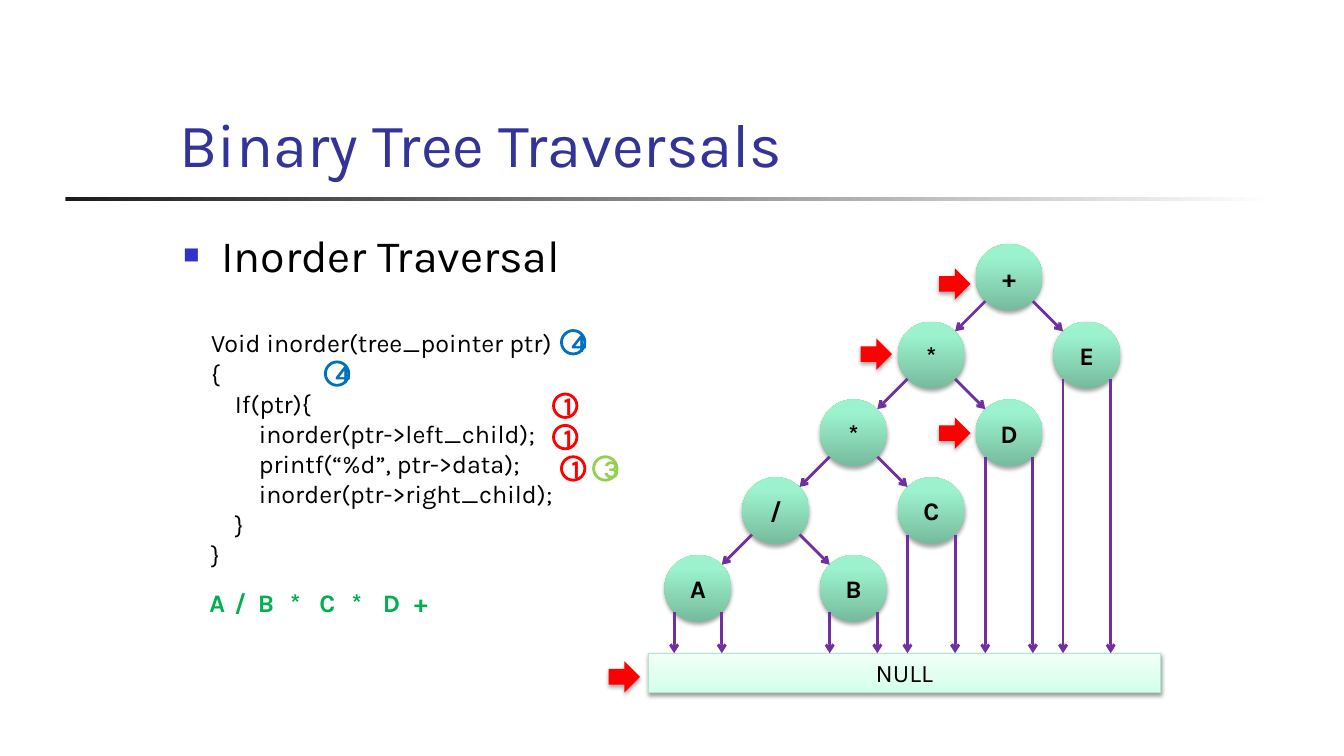
"""Build the slide on inorder traversal of a binary tree."""
from lxml.etree import SubElement as Sub
from pptx import Presentation
from pptx.dml.color import RGBColor as RGB
from pptx.enum.shapes import MSO_CONNECTOR as Link, MSO_SHAPE as Kind
from pptx.enum.text import MSO_ANCHOR as Anchor, MSO_AUTO_SIZE as Auto, PP_ALIGN as Align
from pptx.oxml.ns import qn
from pptx.util import Cm, Pt

HUE = {
    "title": "333399", "bullet": "3333CC", "ink": "000000", "white": "FFFFFF",
    "red": "FF0000", "blue": "0070C0", "lime": "92D050", "green": "00B050",
    "edge": "7030A0", "rim": "A5EBCD",
}
RULE = [(0, "1C1C1C"), (100, "FFFFFF")]
BALL = [(0, "77BA9D"), (80, "9BF2CC"), (100, "9AF4CD")]
PALE = [(0, "D2FFEA"), (35, "DFFFF0"), (100, "F2FFF9")]


def write(para, text, hue="ink", align=Align.LEFT, **more):
    """Fill a paragraph with text and format it."""
    para.text = text
    para.alignment = align
    para.space_before = Pt(0)
    look = {"name": "Karla", "size": Pt(18), "bold": False} | more
    for key, val in look.items():
        setattr(para.font, key, val)
    para.font.color.rgb = RGB.from_string(HUE[hue])


def draw(kind, box, fill, line=None, width=2, angle=90, shade=None):
    """Add a preset shape with a plain or graded fill."""
    item = slide.shapes.add_shape(kind, *map(Cm, box))
    item.shadow.inherit = False
    if isinstance(fill, str):
        item.fill.solid()
        item.fill.fore_color.rgb = RGB.from_string(HUE[fill])
    else:
        item.fill.gradient()
        item.fill.gradient_angle = angle
        stops = item._element.spPr.find(".//" + qn("a:gsLst"))
        stops[:] = []
        for pos, tint in fill:
            stop = Sub(stops, qn("a:gs"), pos=str(pos * 1000))
            Sub(stop, qn("a:srgbClr"), val=tint)
    if line:
        item.line.color.rgb = RGB.from_string(HUE[line])
        item.line.width = Pt(width)
    else:
        item.line.fill.background()
    if shade:
        cast = Sub(item._element.spPr.find(qn("a:effectLst")), qn("a:outerShdw"),
                   blurRad=str(Pt(3.1)), dist=str(Pt(1.8)), dir="5400000", rotWithShape="0")
        tint = Sub(cast, qn("a:srgbClr"), val=HUE["ink"])
        Sub(tint, qn("a:alpha"), val=str(shade * 1000))
    return item


deck = Presentation()
deck.slide_width, deck.slide_height = Cm(33.87), Cm(19.05)
slide = deck.slides.add_slide(deck.slide_layouts[1])
draw(Kind.RECTANGLE, (1.65, 4.96, 30.48, 0.1), RULE, angle=0)

title, body = slide.placeholders
for hold, box, anchor in (
    (title, (4.27, 0.6, 28.85, 4.06), Anchor.BOTTOM),
    (body, (4.37, 5.61, 28.78, 11.43), Anchor.TOP),
):
    hold.left, hold.top, hold.width, hold.height = map(Cm, box)
    hold.text_frame.auto_size = Auto.NONE
    hold.text_frame.vertical_anchor = anchor
write(title.text_frame.paragraphs[0], "Binary Tree Traversals", "title", size=Pt(44))

item = body.text_frame.paragraphs[0]
props = item._p.get_or_add_pPr()
props.set("marL", str(Cm(0.95)))
props.set("indent", str(Cm(-0.95)))
Sub(Sub(props, qn("a:buClr")), qn("a:srgbClr"), val=HUE["bullet"])
Sub(props, qn("a:buSzPct"), val="60000")
Sub(props, qn("a:buFont"), typeface="Arial")
Sub(props, qn("a:buChar"), char="■")
write(item, "Inorder Traversal", size=Pt(32))

CODE = """Void inorder(tree_pointer ptr)
{
    If(ptr){
        inorder(ptr->left_child);
        printf(“%d”, ptr->data);
        inorder(ptr->right_child);
    }
}"""
frame = slide.shapes.add_textbox(Cm(5.07), Cm(8.13), Cm(9.3), Cm(6.2)).text_frame
frame.word_wrap = True
for num, row in enumerate(CODE.split("\n")):
    write(frame.add_paragraph() if num else frame.paragraphs[0], row)

RINGS = [
    ("4", "blue", 8.2, 9.12), ("4", "blue", 14.15, 8.33), ("1", "red", 13.95, 9.93),
    ("1", "red", 13.95, 10.72), ("1", "red", 14.15, 11.51), ("3", "lime", 14.96, 11.51),
]
for text, hue, left, top in RINGS:
    ring = draw(Kind.OVAL, (left, top, 0.59, 0.59), "white", hue)
    write(ring.text_frame.paragraphs[0], text, hue, Align.CENTER, bold=True)

STEP, SIZE, PORT, FLOOR = 1.96, 1.69, 0.6, 16.46
ROOT = (25.43, 6.99)
NODES = {
    (0, 0): "+", (-1, 1): "*", (1, 1): "E", (-2, 2): "*", (0, 2): "D",
    (-3, 3): "/", (-1, 3): "C", (-4, 4): "A", (-2, 4): "B",
}
edges = []
for (col, row), text in NODES.items():
    mid, high = ROOT[0] + col * STEP, ROOT[1] + row * STEP
    ball = draw(Kind.OVAL, (mid - SIZE / 2, high - SIZE / 2, SIZE, SIZE), BALL, shade=35)
    write(ball.text_frame.paragraphs[0], text, "ink", Align.CENTER, bold=True)
    for side in (-1, 1):
        start = mid + side * PORT
        if text.isalpha():
            end = (start, FLOOR)
        else:
            end = (mid + side * (STEP - PORT), high + STEP - PORT)
        edges.append((start, high + PORT, *end))

null = draw(Kind.RECTANGLE, (16.34, FLOOR, 12.9, 0.99), PALE, "rim", 0.75, shade=38)
write(null.text_frame.paragraphs[0], "NULL", "ink", Align.CENTER)

for ends in edges:
    edge = slide.shapes.add_connector(Link.STRAIGHT, *map(Cm, ends))
    edge.line.color.rgb = RGB.from_string(HUE["edge"])
    edge.line.width = Pt(2)
    Sub(edge.line._get_or_add_ln(), qn("a:tailEnd"), type="arrow")
    Sub(edge._element.spPr, qn("a:effectLst"))

for left, top in ((23.67, 6.76), (21.69, 8.53), (23.67, 10.52), (15.34, 16.66)):
    draw(Kind.RIGHT_ARROW, (left, top, 0.79, 0.79), "red", shade=35)

VISITS = zip("A/B*C*D+", (5.03, 5.66, 6.25, 7.06, 7.8, 8.61, 9.4, 10.19))
for text, left in VISITS:
    note = slide.shapes.add_textbox(Cm(left), Cm(14.68), Cm(0.97), Cm(1.02))
    write(note.text_frame.paragraphs[0], text, "green", bold=True)

deck.save("out.pptx")
